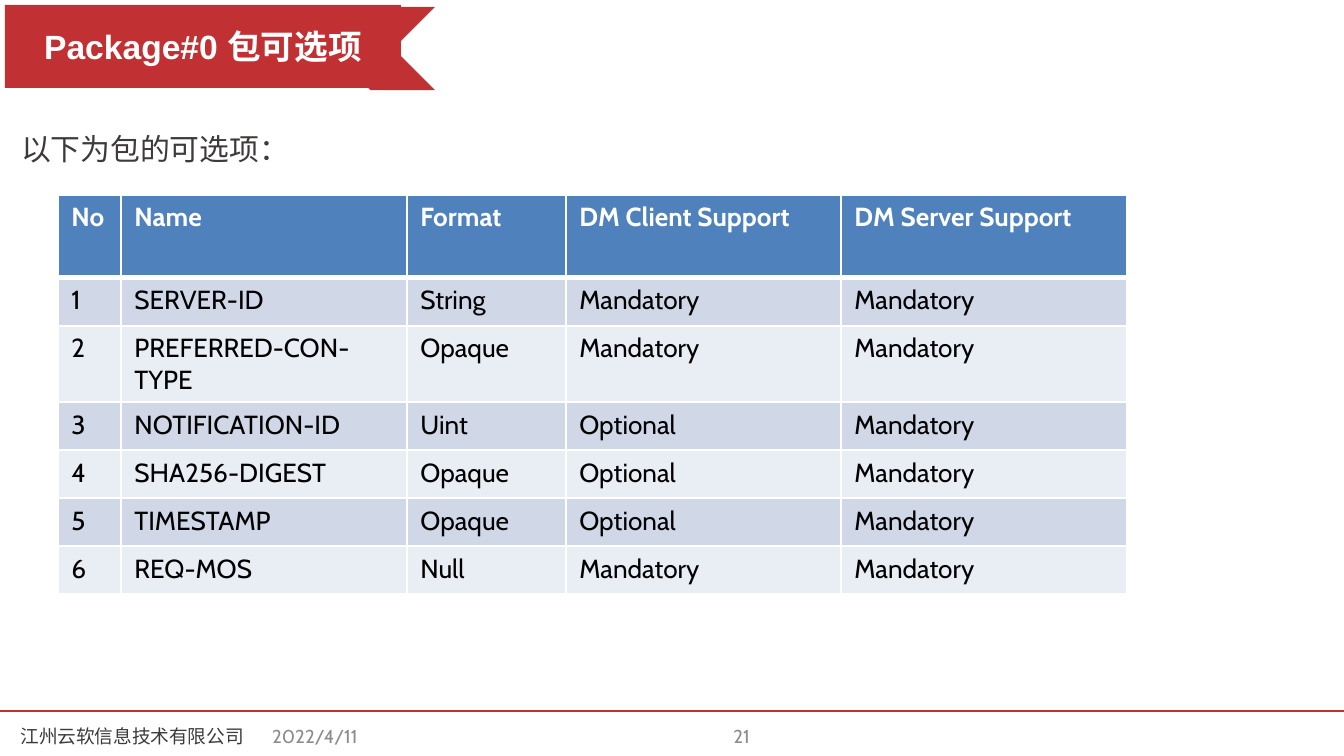
from dataclasses import dataclass

from lxml.etree import SubElement
from pptx import Presentation
from pptx.dml.color import RGBColor
from pptx.enum.shapes import MSO_CONNECTOR, MSO_SHAPE
from pptx.enum.text import MSO_ANCHOR, PP_ALIGN
from pptx.oxml.ns import qn
from pptx.util import Emu, Pt

# Content
TITLE = "Package#0 包可选项"
INTRO = "以下为包的可选项："
HEADER = ("No", "Name", "Format", "DM Client Support", "DM Server Support")
OPTIONS = [
    ("SERVER-ID", "String", "Mandatory", "Mandatory"),
    ("PREFERRED-CON-TYPE", "Opaque", "Mandatory", "Mandatory"),
    ("NOTIFICATION-ID", "Uint", "Optional", "Mandatory"),
    ("SHA256-DIGEST", "Opaque", "Optional", "Mandatory"),
    ("TIMESTAMP", "Opaque", "Optional", "Mandatory"),
    ("REQ-MOS", "Null", "Mandatory", "Mandatory"),
]
COMPANY = "江州云软信息技术有限公司"
DATE = "2022/4/11"
PAGE_NUMBER = "21"


@dataclass(frozen=True)
class Theme:
    red: str = "C13133"
    white: str = "FFFFFF"
    black: str = "000000"
    dark: str = "3E3A39"
    grey: str = "8C8C8C"
    header: str = "4F81BD"
    bands: tuple = ("D0D8E8", "E9EDF4")
    title_font: str = "Arial"
    body_font: str = "Cabin"
    chinese_font: str = "Noto Sans CJK SC"
    title_size: int = 18
    intro_size: int = 16
    table_size: int = 14
    footer_size: int = 10


THEME = Theme()

# Layout in px
SLIDE_WIDTH, SLIDE_HEIGHT = 1344, 756
BANNER = (5, 5, 396, 83)
BANNER_TAIL = (329, 7, 106, 83)
INTRO_BOX = (8, 124, 1227, 90)
TABLE_LEFT, TABLE_TOP = 58, 195
COLUMN_WIDTHS = (63, 286, 159, 275, 286)
HEADER_HEIGHT, ROW_HEIGHT = 83, 48
FOOTER_LINE, FOOTER_TOP, FOOTER_HEIGHT = 711, 716, 40
FOOTERS = [
    (DATE, 259, 313, PP_ALIGN.LEFT, THEME.grey),
    (COMPANY, -112, 488, PP_ALIGN.CENTER, THEME.dark),
    (PAGE_NUMBER, 450, 313, PP_ALIGN.RIGHT, THEME.grey),
]


def px(length):
    return Emu(round(length * 914400 / 134.4))


def box(left, top, width, height):
    return px(left), px(top), px(width), px(height)


def write(frame, text, *, size, color, font=THEME.body_font, bold=False,
          align=PP_ALIGN.LEFT, anchor=MSO_ANCHOR.TOP, before=0):
    frame.word_wrap = True
    frame.vertical_anchor = anchor
    paragraph = frame.paragraphs[0]
    paragraph.alignment = align
    paragraph.space_before = Pt(before)
    run = paragraph.add_run()
    run.text = text
    run.font.name = font
    run.font.size = Pt(size)
    run.font.bold = bold
    run.font.color.rgb = RGBColor.from_string(color)
    SubElement(run.font._element, qn("a:ea"), typeface=THEME.chinese_font)


def add_red_shape(slide, kind, position):
    shape = slide.shapes.add_shape(kind, *box(*position))
    shape.shadow.inherit = False
    shape.fill.solid()
    shape.fill.fore_color.rgb = RGBColor.from_string(THEME.red)
    shape.line.fill.background()
    return shape


def add_border(cell, side, points):
    line = SubElement(cell._tc.get_or_add_tcPr(), qn(f"a:{side}"), w=str(Pt(points)))
    fill = SubElement(line, qn("a:solidFill"))
    SubElement(fill, qn("a:srgbClr"), val=THEME.white)


def add_banner(slide):
    tail = add_red_shape(slide, MSO_SHAPE.CHEVRON, BANNER_TAIL)
    tail._element.spPr.get_or_add_xfrm().set("flipH", "1")
    banner = add_red_shape(slide, MSO_SHAPE.RECTANGLE, BANNER)
    frame = banner.text_frame
    frame.margin_top = frame.margin_bottom = px(21)
    write(frame, TITLE, size=THEME.title_size, color=THEME.white, font=THEME.title_font,
          bold=True, align=PP_ALIGN.CENTER, anchor=MSO_ANCHOR.MIDDLE)


def add_options_table(slide):
    rows = [HEADER] + [(str(number), *option) for number, option in enumerate(OPTIONS, 1)]
    heights = [HEADER_HEIGHT] + [ROW_HEIGHT] * len(OPTIONS)
    position = box(TABLE_LEFT, TABLE_TOP, sum(COLUMN_WIDTHS), sum(heights))
    table = slide.shapes.add_table(len(rows), len(HEADER), *position).table
    for column, width in zip(table.columns, COLUMN_WIDTHS):
        column.width = px(width)
    for row_index, (values, height) in enumerate(zip(rows, heights)):
        table.rows[row_index].height = px(height)
        is_header = row_index == 0
        fill = THEME.header if is_header else THEME.bands[(row_index - 1) % 2]
        borders = {
            "lnL": 1,
            "lnR": 1,
            "lnT": 3 if row_index == 1 else 1,
            "lnB": 3 if is_header else 1,
        }
        for column_index, value in enumerate(values):
            cell = table.cell(row_index, column_index)
            write(cell.text_frame, value, size=THEME.table_size, bold=is_header,
                  color=THEME.white if is_header else THEME.black)
            for side, points in borders.items():
                add_border(cell, side, points)
            cell.fill.solid()
            cell.fill.fore_color.rgb = RGBColor.from_string(fill)


def add_footer(slide):
    line = slide.shapes.add_connector(
        MSO_CONNECTOR.STRAIGHT, 0, px(FOOTER_LINE), px(SLIDE_WIDTH), px(FOOTER_LINE))
    line.line.color.rgb = RGBColor.from_string(THEME.red)
    line.line.width = Pt(0.75)
    SubElement(line._element.spPr, qn("a:effectLst"))
    for text, left, width, align, color in FOOTERS:
        text_box = slide.shapes.add_textbox(*box(left, FOOTER_TOP, width, FOOTER_HEIGHT))
        write(text_box.text_frame, text, size=THEME.footer_size, color=color,
              align=align, anchor=MSO_ANCHOR.MIDDLE)


def main():
    presentation = Presentation()
    presentation.slide_width, presentation.slide_height = px(SLIDE_WIDTH), px(SLIDE_HEIGHT)
    slide = presentation.slides.add_slide(presentation.slide_layouts[6])
    add_footer(slide)
    add_banner(slide)
    intro = slide.shapes.add_textbox(*box(*INTRO_BOX))
    write(intro.text_frame, INTRO, size=THEME.intro_size, color=THEME.dark,
          font=THEME.chinese_font, before=3.2)
    add_options_table(slide)
    presentation.save("out.pptx")


if __name__ == "__main__":
    main()
